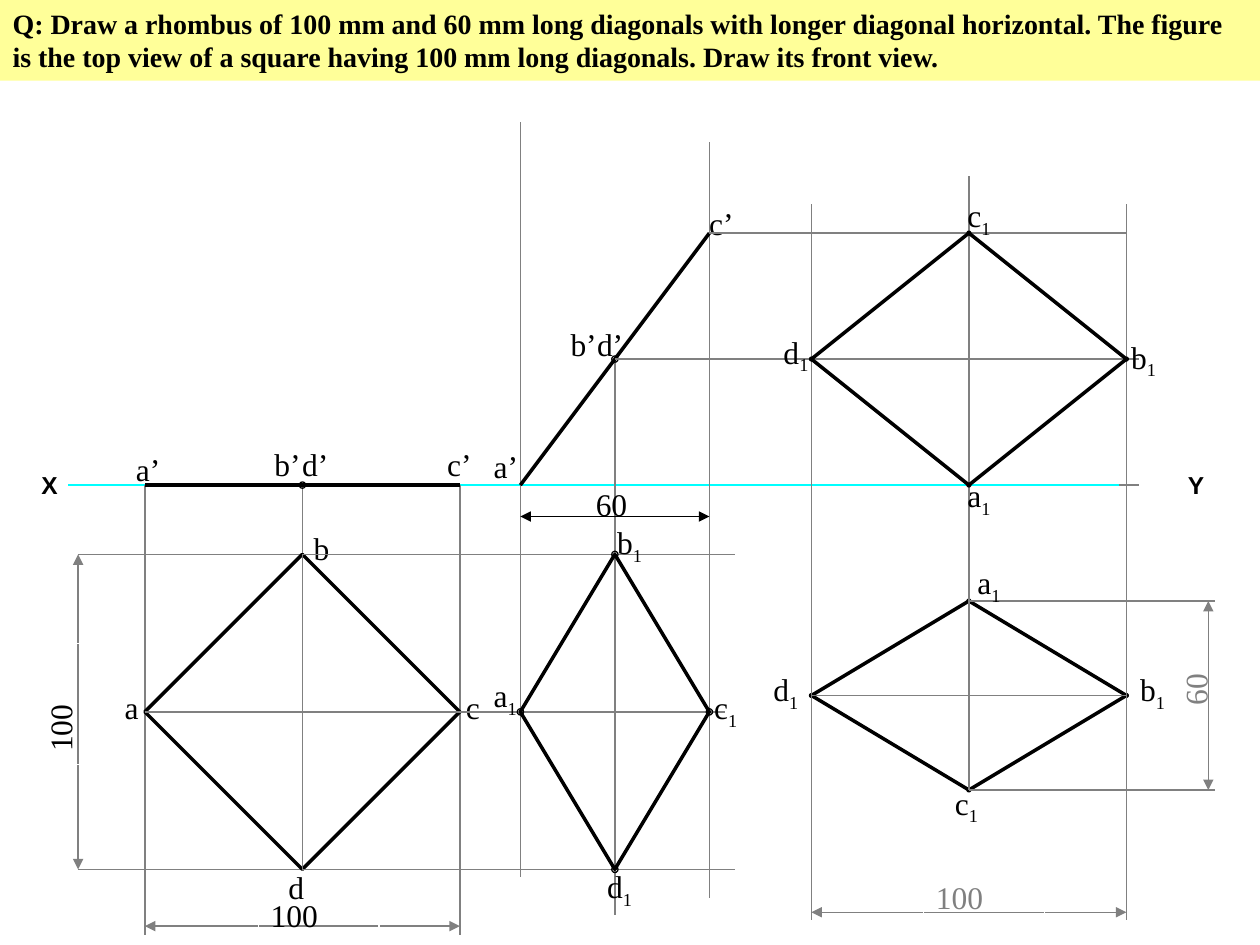
from dataclasses import dataclass
from typing import Any

from lxml import etree
from pptx import Presentation
from pptx.dml.color import RGBColor
from pptx.enum.shapes import MSO_CONNECTOR as Connector, MSO_SHAPE as Shape
from pptx.enum.text import MSO_ANCHOR as Anchor, MSO_AUTO_SIZE as AutoSize, PP_ALIGN as Align
from pptx.oxml.ns import qn
from pptx.util import Inches, Pt

COLORS = {"band": "FFFF99", "ink": "000000", "guide": "808080", "ground": "00FFFF", "paper": "FFFFFF"}
SERIF, SANS = "Times New Roman", "Arial"
LABEL_SIZE = (0.53, 0.4)
DIMENSION_SIZE = (0.96, 0.41)
THIN, THICK = 0.75, 2


def color(name):
    return RGBColor.from_string(COLORS[name])


def add_span(para, text, size, font=SERIF, ink="ink", bold=False):
    span = para.add_run()
    span.text = text
    span.font.size = Pt(size)
    span.font.name = font
    span.font.bold = bold
    span.font.color.rgb = color(ink)
    return span


@dataclass
class View:
    """A region of the drawing; its methods take inches from the region's corner."""
    page: Any
    left: float
    top: float

    def place(self, x, y):
        return Inches(self.left + x), Inches(self.top + y)

    def line(self, x1, y1, x2, y2, ink="guide", width=THIN, arrows=False):
        connector = self.page.shapes.add_connector(
            Connector.STRAIGHT, *self.place(x1, y1), *self.place(x2, y2))
        connector.line.color.rgb = color(ink)
        connector.line.width = Pt(width)
        if arrows:
            outline = connector.line._get_or_add_ln()
            for end in ("a:headEnd", "a:tailEnd"):
                etree.SubElement(outline, qn(end), type="triangle")
        etree.SubElement(connector._element.spPr, qn("a:effectLst"))
        return connector

    def outline(self, kind, x, y, width, height, ink="ink", weight=THIN):
        shape = self.page.shapes.add_shape(kind, *self.place(x, y), Inches(width), Inches(height))
        shape.shadow.inherit = False
        shape.fill.background()
        shape.line.color.rgb = color(ink)
        shape.line.width = Pt(weight)
        return shape

    def rhombus(self, width, height):
        return self.outline(Shape.DIAMOND, 0, 0, width, height, weight=THICK)

    def diagonal(self, rhombus, start, end):
        connector = self.line(0, 0, 1, 1)
        connector.begin_connect(rhombus, start)
        connector.end_connect(rhombus, end)

    def dots(self, points, size):
        for x, y in points:
            self.outline(Shape.OVAL, x - size / 2, y - size / 2, size, size)

    def label(self, text, x, y, size=LABEL_SIZE, sub="", points=18, ink="ink", font=SERIF, bold=False):
        box = self.page.shapes.add_textbox(*self.place(x, y), Inches(size[0]), Inches(size[1]))
        box.text_frame.word_wrap = True
        para = box.text_frame.paragraphs[0]
        add_span(para, text, points, font, ink, bold)
        if sub:
            span = add_span(para, sub, points, font, ink, bold)
            span._r.get_or_add_rPr().set("baseline", "-25000")
        return box

    def labels(self, places, sub=""):
        for text, x, y in places:
            self.label(text, x, y, sub=sub)

    def dimension(self, text, x, y, ink="ink"):
        """A dimension figure in a frame the colour of the paper."""
        frame = self.outline(Shape.RECTANGLE, x, y, *DIMENSION_SIZE, ink="paper")
        frame.text_frame.word_wrap = True
        frame.text_frame.vertical_anchor = Anchor.TOP
        para = frame.text_frame.paragraphs[0]
        para.alignment = Align.LEFT
        add_span(para, text, 18, ink=ink)
        return frame


def add_question(page, left, top, width, height):
    title = page.shapes.title
    title.left, title.top, title.width, title.height = map(Inches, (left, top, width, height))
    title.fill.solid()
    title.fill.fore_color.rgb = color("band")
    frame = title.text_frame
    frame.word_wrap = True
    frame.auto_size = AutoSize.NONE
    frame.vertical_anchor = Anchor.TOP
    para = frame.paragraphs[0]
    para.alignment = Align.LEFT
    para.space_before = Pt(0)
    add_span(para, "Q: Draw a rhombus of 100 mm and 60 mm long diagonals with longer diagonal "
             "horizontal. The figure is the top view of a square having 100 mm long diagonals. "
             "Draw its front view.", 16, bold=True)


def add_ground_line(view):
    """The XY line, lying over the grey projector that runs along it."""
    view.line(3.6, 0, 8.5, 0)
    view.line(0, 0, 8.34, 0, "ground", 1)
    for text, x, width in (("X", -0.31, 0.46), ("Y", 8.79, 0.3)):
        view.label(text, x, -0.17, (width, 0.33), points=14, font=SANS, bold=True)


def add_square_top_view(view):
    for x in (0, 2.5):
        for end in (3.02, -0.55):
            view.line(x, 1.25, x, end)
    for y in (0, 2.5):
        view.line(1.25, y, -0.53, y)
    view.line(1.25, 0, 1.25, -0.55)
    square = view.rhombus(2.5, 2.5)
    view.diagonal(square, 1, 3)
    view.diagonal(square, 0, 2)
    view.line(0, 2.95, 2.5, 2.95, arrows=True)
    view.dimension("100", 0.9, 2.66)
    view.line(-0.53, 0, -0.53, 2.5, arrows=True)
    view.dimension("100", -1.15, 0.98).rotation = 270
    view.labels((("a", -0.26, 1.01), ("b", 1.24, -0.25), ("c", 2.45, 1.01), ("d", 1.04, 2.44)))


def add_flat_front_view(view):
    view.line(0, 0, 2.5, 0, "ink", THICK)
    view.dots([(1.25, 0)], 0.05)
    view.labels((("a’", -0.17, -0.33), ("b’", 0.93, -0.37), ("c’", 2.3, -0.37), ("d’", 1.15, -0.37)))


def add_tilted_front_view(view):
    view.line(0, -0.88, 0, 5.11)
    view.line(1.5, -0.72, 1.5, 5.28)
    view.line(0.75, 1, 0.75, 5.41)
    view.line(0, 2.25, 1.5, 2.25, "ink", arrows=True)
    view.label("60", 0.5, 1.95, (0.48, 0.4))
    view.line(0, 2, 1.5, 0, "ink", THICK)
    view.dots([(0.75, 1)], 0.05)
    view.labels((("a’", -0.31, 1.65), ("b’", 0.3, 0.68), ("c’", 1.4, -0.28), ("d’", 0.51, 0.68)))


def add_tilted_top_view(view):
    for y in (0, 2.5):
        view.line(-1.73, y, 1.7, y)
    view.line(-0.48, 1.25, 1.62, 1.25)
    view.dots(((0, 1.25), (0.75, 0), (1.5, 1.25), (0.75, 2.5)), 0.05)
    view.rhombus(1.5, 2.5)
    view.labels((("a", -0.31, 0.92), ("b", 0.67, -0.3), ("c", 1.44, 1.01), ("d", 0.59, 2.43)), "1")


def add_turned_top_view(view):
    view.dots(((1.25, 0), (2.5, 0.75), (1.25, 1.5), (0, 0.75)), 0.03)
    rhombus = view.rhombus(2.5, 1.5)
    view.diagonal(rhombus, 1, 3)
    view.diagonal(rhombus, 0, 2)
    for x in (0, 2.5):
        for end in (2.53, -3.15):
            view.line(x, 0.75, x, end)
    view.line(1.25, 0, 1.25, -3.37)
    view.line(0, 2.47, 2.5, 2.47, arrows=True)
    view.dimension("100", 0.89, 2.15, "guide")
    for y in (0, 1.5):
        view.line(1.25, y, 3.2, y)
    view.line(3.15, 0, 3.15, 1.5, arrows=True)
    view.label("60", 2.8, 0.48, (0.49, 0.4), ink="guide").rotation = 270
    view.labels((("a", 1.22, -0.35), ("b", 2.51, 0.5), ("c", 1.04, 1.4), ("d", -0.4, 0.5)), "1")


def add_turned_front_view(view):
    for start, y, end in ((-0.81, 0, 2.5), (-1.56, 1, 2.6)):
        view.line(start, y, end, y)
    view.dots(((1.25, 2), (2.5, 1), (1.25, 0), (0, 1)), 0.03)
    view.labels((("a", 1.14, 1.88), ("b", 2.44, 0.78), ("c", 1.14, -0.34), ("d", -0.32, 0.74)), "1")
    view.rhombus(2.5, 2)


def main():
    deck = Presentation()
    deck.slide_width, deck.slide_height = Inches(10), Inches(7.5)
    page = deck.slides.add_slide(deck.slide_layouts[5])
    add_question(page, 0, 0, 10, 0.64)
    for add_view, left, top in (
            (add_ground_line, 0.54, 3.85),
            (add_square_top_view, 1.15, 4.4),
            (add_flat_front_view, 1.15, 3.85),
            (add_tilted_front_view, 4.13, 1.85),
            (add_tilted_top_view, 4.13, 4.4),
            (add_turned_top_view, 6.44, 4.77),
            (add_turned_front_view, 6.44, 1.85)):
        add_view(View(page, left, top))
    deck.save("out.pptx")


if __name__ == "__main__":
    main()
